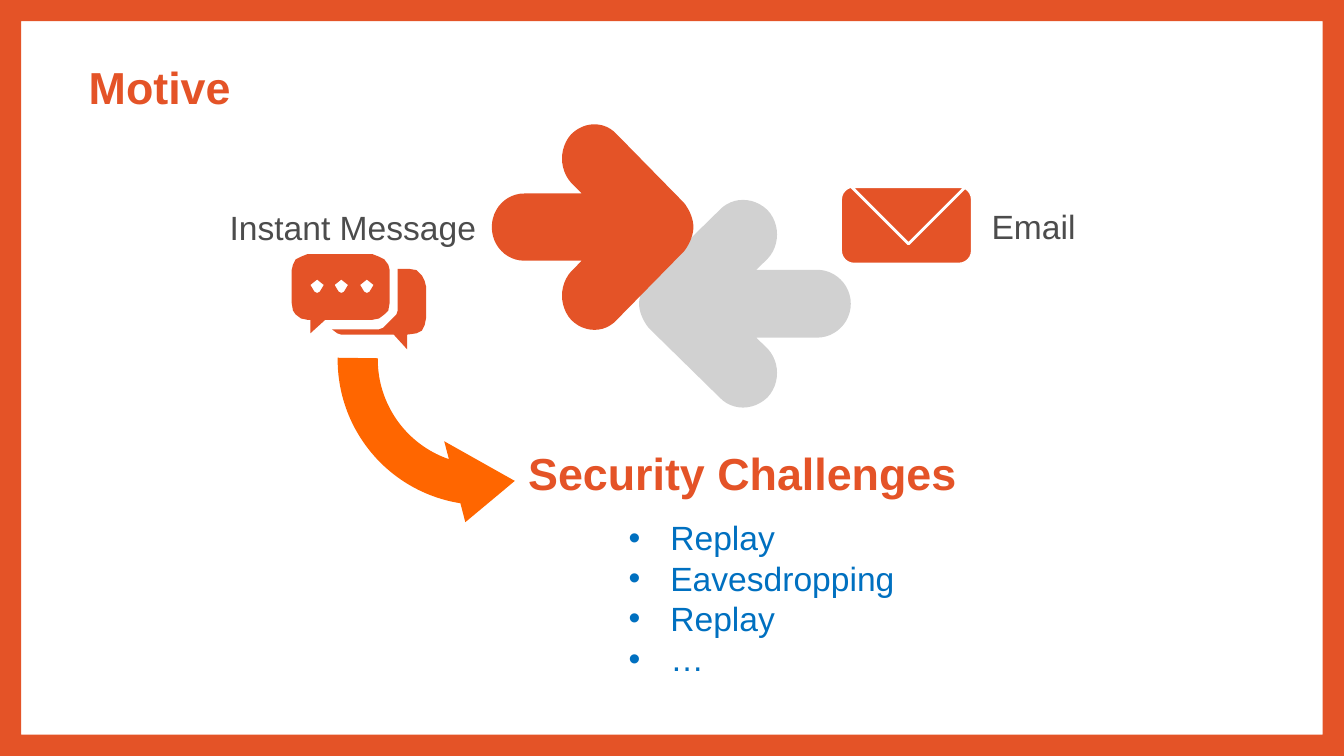
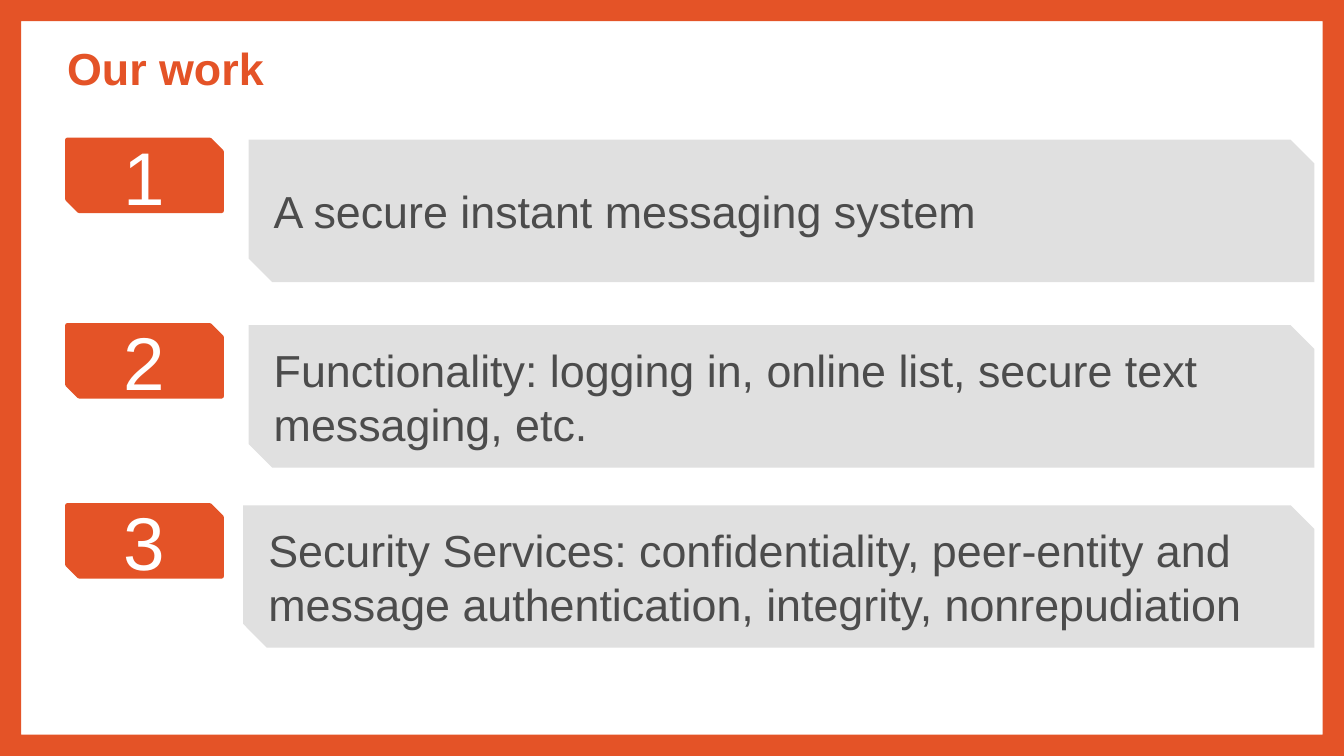
from lxml import etree
from pptx import Presentation
from pptx.dml.color import RGBColor
from pptx.enum.shapes import MSO_SHAPE
from pptx.enum.text import MSO_ANCHOR, MSO_AUTO_SIZE, PP_ALIGN
from pptx.oxml.ns import qn
from pptx.util import Inches, Pt

FRAME, SNIPPED = MSO_SHAPE.FRAME, MSO_SHAPE.SNIP_2_DIAG_RECTANGLE
ROUNDED, TRIANGLE = MSO_SHAPE.ROUNDED_RECTANGLE, MSO_SHAPE.RIGHT_TRIANGLE
CURVED_ARROW = MSO_SHAPE.CIRCULAR_ARROW
TOP, MIDDLE = MSO_ANCHOR.TOP, MSO_ANCHOR.MIDDLE
LEFT, CENTER = PP_ALIGN.LEFT, PP_ALIGN.CENTER
FIT = MSO_AUTO_SIZE.SHAPE_TO_FIT_TEXT

COLORS = {
    "brand": "E45327", "arrow": "FF6600", "silver": "D1D1D1", "panel": "E0E0E0",
    "text": "4C4C4C", "link": "0070C0", "white": "FFFFFF",
}
HEADING = dict(size=24, color="brand", bold=True, anchor=MIDDLE, insets=(0.07, 0.04))
LABEL = dict(size=18, wrap=False, fit=True)
WIDTH = 10
HEIGHT = WIDTH * 9 / 16


def place(slide, box, text="", kind=None, fill=None, line=None, line_width=0.75,
          size=18, color="text", bold=False, align=LEFT, anchor=TOP,
          insets=(0.1, 0.05), wrap=True, fit=False, bullets=False):
    """Add a preset shape, or a text box if kind is None, with one paragraph per line."""
    box = [Inches(length) for length in box]
    if kind is None:
        shape = slide.shapes.add_textbox(*box)
    else:
        shape = slide.shapes.add_shape(kind, *box)
        shape.shadow.inherit = False
        shape.fill.solid()
        shape.fill.fore_color.rgb = RGBColor.from_string(COLORS[fill])
        if line:
            shape.line.color.rgb = RGBColor.from_string(COLORS[line])
            shape.line.width = Pt(line_width)
        else:
            shape.line.fill.background()
    if not text:
        return shape
    frame = shape.text_frame
    frame.word_wrap = wrap
    frame.vertical_anchor = anchor
    frame.margin_left = frame.margin_right = Inches(insets[0])
    frame.margin_top = frame.margin_bottom = Inches(insets[1])
    if fit:
        frame.auto_size = FIT
    for index, words in enumerate(text.split("\n")):
        paragraph = frame.add_paragraph() if index else frame.paragraphs[0]
        paragraph.alignment = align
        run = paragraph.add_run()
        run.text = words
        run.font.name = "Arial"
        run.font.size = Pt(size)
        run.font.bold = bold
        run.font.color.rgb = RGBColor.from_string(COLORS[color])
        if bullets:
            properties = paragraph._p.get_or_add_pPr()
            properties.set("marL", str(Inches(0.31)))
            properties.set("indent", str(-Inches(0.31)))
            etree.SubElement(properties, qn("a:buFont")).set("typeface", "Arial")
            etree.SubElement(properties, qn("a:buChar")).set("char", "•")
    return shape


prs = Presentation()
prs.slide_width, prs.slide_height = Inches(WIDTH), Inches(HEIGHT)
slides = []
for title, title_box in [("Motive", (0.59, 0.21, 1.46, 0.87)),
                         ("Our work", (0.43, 0.21, 9.14, 0.59))]:
    slide = prs.slides.add_slide(prs.slide_layouts[6])
    border = place(slide, (0, 0, WIDTH, HEIGHT), kind=FRAME, fill="brand")
    border.adjustments[0] = 0.028
    place(slide, title_box, title, **HEADING)
    slides.append(slide)
motive, our_work = slides

# Lower half of a round-ended arrow: cubic curves from the tip to the tail,
# as (distance from the tail, distance from the axis)
arrow_curves = [
    [(1.5, 0), (1.5, 0.06), (1.47, 0.13), (1.43, 0.18)],
    [(0.93, 0.69), (0.84, 0.79), (0.69, 0.79), (0.59, 0.69)],
    [(0.59, 0.69), (0.5, 0.59), (0.5, 0.43), (0.59, 0.33)],
    [(0.67, 0.25)] * 4,
    [(0.24, 0.25), (0.11, 0.25), (0, 0.14), (0, 0)],
]
STEPS = 12
half_arrow = []
for curve in arrow_curves:
    for step in range(STEPS + 1):
        t = step / STEPS
        weights = ((1 - t) ** 3, 3 * t * (1 - t) ** 2, 3 * t * t * (1 - t), t ** 3)
        half_arrow.append([sum(w * point[axis] for w, point in zip(weights, curve))
                           for axis in (0, 1)])
arrow = half_arrow + [(x, -y) for x, y in reversed(half_arrow)]
left_arrow = [(6.33 - 1.05 * x, 2.26 + 1.01 * y) for x, y in arrow]
right_arrow = [(3.66 + x, 1.69 + y) for x, y in arrow]

front_bubble = [
    (2.29, 1.89), (2.77, 1.89), (2.82, 1.91), (2.86, 1.93), (2.89, 1.97), (2.9, 2.01),
    (2.9, 2.25), (2.89, 2.31), (2.86, 2.34), (2.82, 2.37), (2.77, 2.38), (2.42, 2.38),
    (2.31, 2.48), (2.31, 2.38), (2.29, 2.38), (2.24, 2.37), (2.2, 2.34), (2.18, 2.31),
    (2.17, 2.25), (2.17, 2.01), (2.18, 1.97), (2.2, 1.93), (2.24, 1.91),
]
back_bubble = [
    (3.04, 2), (2.96, 2), (2.96, 2.27), (2.96, 2.31), (2.95, 2.34), (2.9, 2.39),
    (2.85, 2.44), (2.82, 2.45), (2.78, 2.45), (2.47, 2.45), (2.51, 2.48), (2.54, 2.49),
    (2.93, 2.49), (3.03, 2.6), (3.03, 2.49), (3.1, 2.48), (3.14, 2.46), (3.16, 2.42),
    (3.17, 2.37), (3.17, 2.13), (3.16, 2.09), (3.14, 2.05), (3.1, 2.01),
]
dots = [[(x, 2.08), (x - 0.05, 2.12), (x - 0.02, 2.17), (x, 2.18), (x + 0.02, 2.17),
         (x + 0.05, 2.12)] for x in (2.36, 2.54, 2.73)]

for contours, color in [([left_arrow], "silver"),
                        ([front_bubble, *dots, back_bubble], "brand"),
                        ([right_arrow], "brand")]:
    builder = None
    for contour in contours:
        start, *rest = [(Inches(x), Inches(y)) for x, y in contour]
        if builder is None:
            builder = motive.shapes.build_freeform(*start, scale=1.0)
        else:
            builder.move_to(*start)
        builder.add_line_segments(rest, close=True)
    outline = builder.convert_to_shape()
    outline.shadow.inherit = False
    outline.fill.solid()
    outline.fill.fore_color.rgb = RGBColor.from_string(COLORS[color])
    outline.line.fill.background()

place(motive, (6.26, 1.39, 0.97, 0.57), kind=ROUNDED, fill="brand", line="white")
flap = place(motive, (6.46, 1.09, 0.6, 0.6), kind=TRIANGLE, fill="brand",
             line="white", line_width=1.5)
flap.rotation = 315
place(motive, (7.28, 1.48, 0.83, 0.4), "Email", **LABEL)
place(motive, (1.61, 1.49, 2.05, 0.4), "Instant Message", **LABEL)

place(motive, (3.86, 3.22, 4.72, 0.59), "Security Challenges", **HEADING)
consequence = place(motive, (2.35, 1.43, 2.49, 2.49), kind=CURVED_ARROW, fill="arrow")
consequence.rotation = 243.8
consequence._element.spPr.find(qn("a:xfrm")).set("flipH", "1")
for index, value in enumerate((0.12, 16.6, 192.43, 145.87)):
    consequence.adjustments[index] = value
place(motive, (4.58, 3.8, 2.2, 1.31), "Replay\nEavesdropping\nReplay\n…",
      color="link", bullets=True, **LABEL)

RIGHT_EDGE = 9.78
work_items = [
    (1.04, 1.85, "A secure instant messaging system"),
    (2.42, 1.85, "Functionality: logging in, online list, secure text messaging, etc."),
    (3.76, 1.81, "Security Services: confidentiality, peer-entity and message "
                 "authentication, integrity, nonrepudiation"),
]
for number, (top, left, description) in enumerate(work_items, 1):
    place(our_work, (0.5, top, 1.15, 0.53), str(number), kind=SNIPPED, fill="brand",
          line="brand", line_width=2.25, size=40, color="white", align=CENTER, anchor=MIDDLE)
    place(our_work, (left, top, RIGHT_EDGE - left, 1.06), description, kind=SNIPPED,
          fill="panel", size=24, anchor=MIDDLE)

prs.save("out.pptx")
